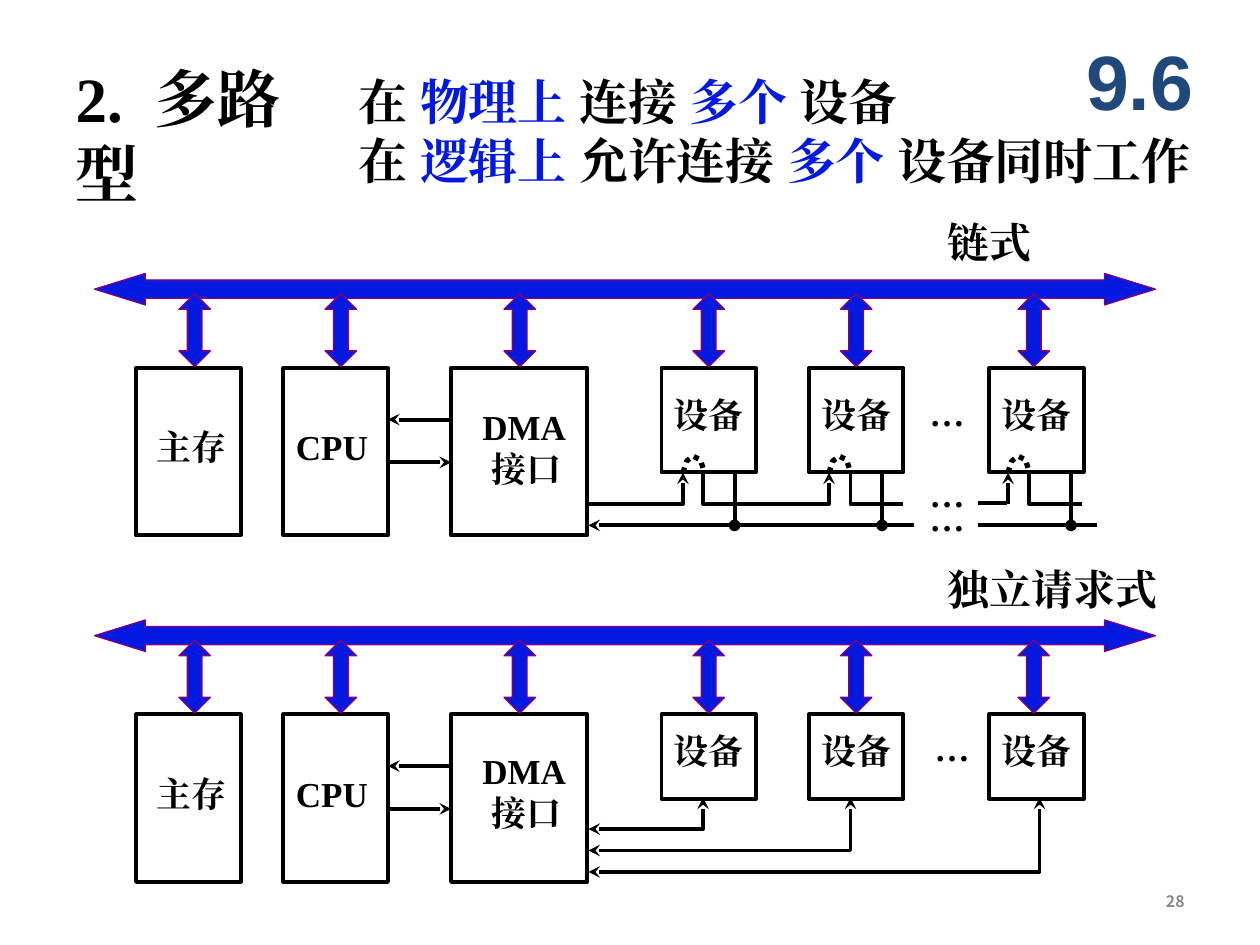
from pptx import Presentation
from pptx.dml.color import RGBColor
from pptx.enum.dml import MSO_LINE_DASH_STYLE as Dash
from pptx.enum.shapes import MSO_CONNECTOR as Conn, MSO_SHAPE as Shp
from pptx.enum.text import MSO_ANCHOR as Anchor, PP_ALIGN as Align
from pptx.oxml.ns import qn
from pptx.util import Inches, Pt
from lxml.etree import SubElement

BLACK = RGBColor(0x00, 0x00, 0x00)
BLUE = RGBColor(0x04, 0x19, 0xE0)
PURPLE = RGBColor(0x80, 0x00, 0x80)
NAVY = RGBColor(0x1F, 0x49, 0x7D)
GREY = RGBColor(0x89, 0x89, 0x89)
SERIF = "Times New Roman"

prs = Presentation()
prs.slide_width, prs.slide_height = Inches(10), Inches(7.5)
slide = prs.slides.add_slide(prs.slide_layouts[5])
shapes = slide.shapes


def write(box, paras, size, wrap=True, font=SERIF, align=Align.LEFT, anchor=Anchor.TOP):
    """Fill a box with paragraphs, each a list of (text, colour) runs."""
    frame = box.text_frame
    frame.word_wrap = wrap
    frame.vertical_anchor = anchor
    for i, runs in enumerate(paras):
        para = frame.add_paragraph() if i else frame.paragraphs[0]
        para.alignment = align
        for text, color in runs:
            run = para.add_run()
            run.text = text
            run.font.name, run.font.size = font, Pt(size)
            run.font.bold = True
            run.font.color.rgb = color
            SubElement(run.font._element, qn("a:ea"), typeface=font)


def wire(*points, head=None, tail=None, dots=False):
    """Draw an open line through the points, with optional line ends."""
    pts = [(Inches(x), Inches(y)) for x, y in points]
    if len(pts) == 2:
        line = shapes.add_connector(Conn.STRAIGHT, *pts[0], *pts[1])
        SubElement(line.element.spPr, qn("a:effectLst"))
    else:
        path = shapes.build_freeform(*pts[0], scale=1.0)
        path.add_line_segments(pts[1:], close=False)
        line = path.convert_to_shape()
        line.fill.background()
        line.shadow.inherit = False
    line.line.color.rgb = BLACK
    line.line.width = Pt(3 if dots else 2.25)
    if dots:
        line.line.dash_style = Dash.ROUND_DOT
    ln = line.element.spPr.find(qn("a:ln"))
    for tag, end in (("a:headEnd", head), ("a:tailEnd", tail)):
        if end:
            SubElement(ln, qn(tag), type=end)


# Heading
title = shapes.title
title.left, title.top = Inches(0.5), Inches(0.42)
title.width, title.height = Inches(2.21), Inches(0.7)
write(title, [[("2.", BLACK), (" ", BLACK), ("多路型", BLACK)]], 36)
gap = title.text_frame.paragraphs[0].runs[1]
gap.font._element.set("spc", "900")

intro = shapes.add_textbox(Inches(2.75), Inches(0.52), Inches(7.25), Inches(1.03))
write(intro, [
    [("在 ", BLACK), ("物理上 ", BLUE), ("连接 ", BLACK), ("多个 ", BLUE),
     ("设备", BLACK)],
    [("在 ", BLACK), ("逻辑上 ", BLUE), ("允许连接 ", BLACK), ("多个 ", BLUE),
     ("设备同时工作", BLACK)],
], 28)
mark = shapes.add_textbox(Inches(8.42), Inches(0.17), Inches(1.25), Inches(0.92))
write(mark, [[("9.6", NAVY)]], 44, font="Arial", align=Align.CENTER, anchor=Anchor.MIDDLE)

# Parts shared by both diagrams
DEVS = (5.25, 6.42, 7.85)
DROPS = (1.42, 2.58, 4, 5.5, 6.67, 8.08)
# bus top, device height, device text, DMA text, dots left, dots top, name, name width
DIAGS = (
    (2.17, 0.83, 0.9, 1, 7.28, 0.89, "链式", 1.33),
    (4.92, 0.67, 0.82, 0.98, 7.32, 0.8, "独立请求式", 2.5),
)
for bus, tall, dev_y, dma_y, dot_x, dot_y, name, wide in DIAGS:
    top = bus + 0.75
    boxes = [(1.08, 0.83, 1.33), (2.25, 0.83, 1.33), (3.58, 1.08, 1.33)]
    boxes += [(x, 0.75, tall) for x in DEVS]
    for x, w, h in boxes:
        box = shapes.add_shape(Shp.RECTANGLE, Inches(x), Inches(top), Inches(w), Inches(h))
        box.shadow.inherit = False
        box.fill.background()
        box.line.color.rgb = BLACK
        box.line.width = Pt(2.25)

    arrows = [(Shp.LEFT_RIGHT_ARROW, 0.75, bus, 8.42, 0.25, 0.583, 1.613)]
    arrows += [(Shp.UP_DOWN_ARROW, x, bus + 0.16, 0.25, 0.58, 0.5, 0.467) for x in DROPS]
    for kind, x, y, w, h, body, tip in arrows:
        arrow = shapes.add_shape(kind, Inches(x), Inches(y), Inches(w), Inches(h))
        arrow.adjustments[0], arrow.adjustments[1] = body, tip
        arrow.shadow.inherit = False
        arrow.fill.solid()
        arrow.fill.fore_color.rgb = BLUE
        arrow.line.color.rgb = PURPLE
        arrow.line.width = Pt(0.75)

    labels = [
        (1.14, 1.16, 0.76, 0.43, ["主存"]),
        (2.25, 1.16, 0.77, 0.43, ["CPU"]),
        (3.73, dma_y, 0.87, 0.77, ["DMA", " 接口"]),
        (dot_x, dot_y, 0.48, 0.43, ["…"]),
    ]
    labels += [(x, dev_y, 0.76, 0.43, ["设备"]) for x in DEVS]
    for x, y, w, h, rows in labels:
        label = shapes.add_textbox(Inches(x), Inches(bus + y), Inches(w), Inches(h))
        write(label, [[(row, BLACK)] for row in rows], 20, wrap=False)

    label = shapes.add_textbox(Inches(7.42), Inches(bus - 0.5), Inches(wide), Inches(0.5))
    write(label, [[(name, BLACK)]], 24)

    wire((3.08, bus + 1.5), (3.58, bus + 1.5), tail="stealth")
    wire((3.58, bus + 1.16), (3.08, bus + 1.16), tail="stealth")

# Chain: the grant passes from device to device
wire((4.67, 4), (5.42, 4), (5.42, 3.75), tail="stealth")
wire((5.58, 3.75), (5.58, 4), (6.58, 4), (6.58, 3.75), tail="stealth")
wire((8, 4), (8, 3.75), tail="stealth")
wire((7.76, 3.99), (7.99, 3.99))
for x in (6.75, 8.17):
    wire((x, 3.75), (x, 4), (x + 0.42, 4))
for x in (5.42, 6.58, 8):
    wire((x, 3.75), (x + 0.03, 3.66), (x + 0.08, 3.62), (x + 0.14, 3.65),
         (x + 0.17, 3.75), dots=True)

# Chain: the shared request line
wire((7.25, 4.17), (4.67, 4.17), tail="stealth")
wire((7.76, 4.17), (8.71, 4.17))
for x in (5.83, 7, 8.5):
    wire((x, 3.75), (x, 4.17), tail="oval")
for y in (3.7, 3.89):
    dots = shapes.add_textbox(Inches(7.28), Inches(y), Inches(1.5), Inches(0.43))
    write(dots, [[("…", BLACK)]], 20)

# Independent requests: one line for each device
for x, y in ((5.58, 6.58), (6.75, 6.75), (8.25, 6.92)):
    wire((4.67, y), (x, y), (x, 6.33), head="stealth", tail="stealth")

page = shapes.add_textbox(Inches(7.17), Inches(6.95), Inches(2.33), Inches(0.4))
write(page, [[("28", GREY)]], 9, font="Noto Sans CJK SC", align=Align.RIGHT,
      anchor=Anchor.MIDDLE)

prs.save("out.pptx")
